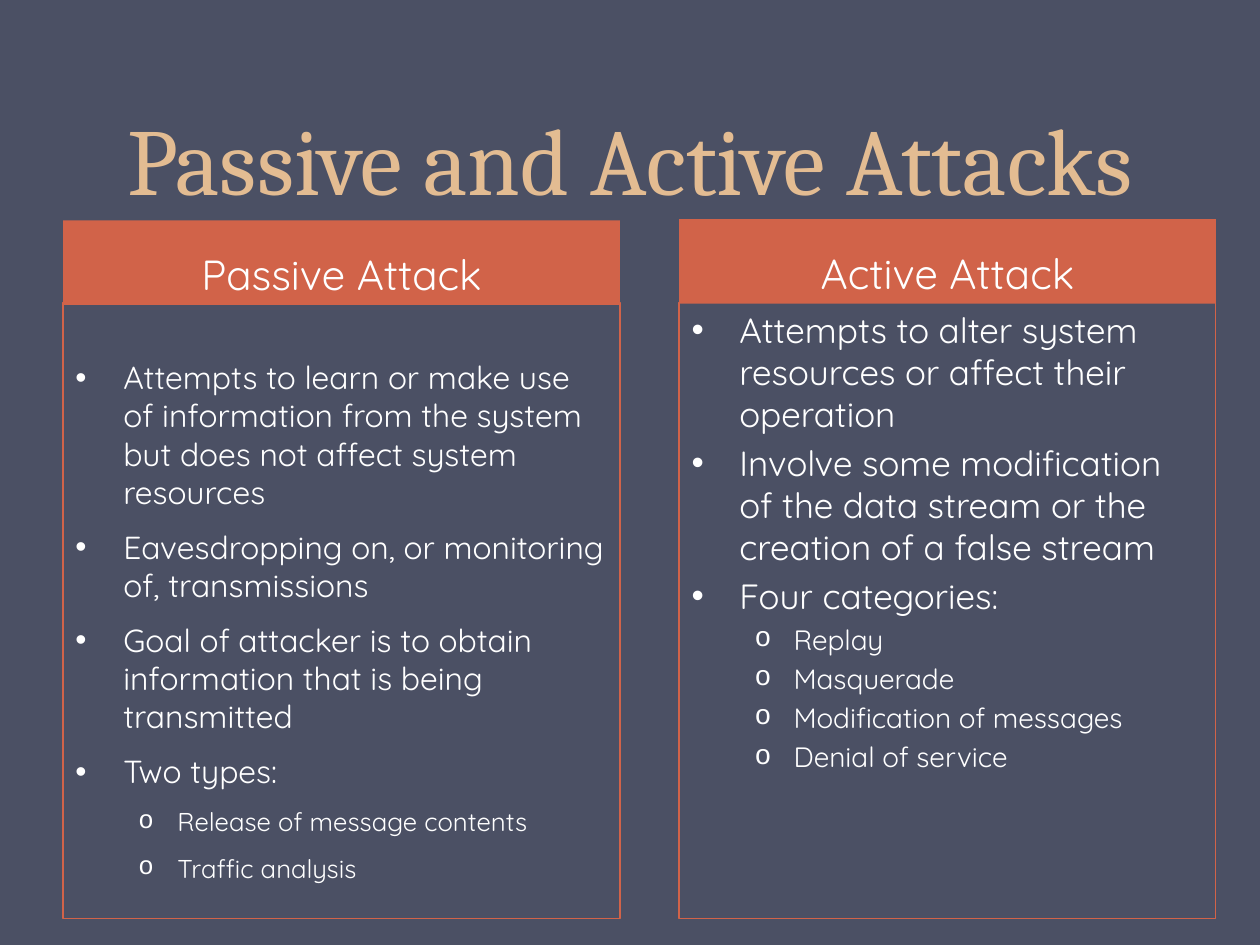
from lxml.etree import SubElement
from pptx import Presentation
from pptx.dml.color import RGBColor
from pptx.enum.shapes import MSO_SHAPE
from pptx.enum.text import MSO_ANCHOR, PP_ALIGN
from pptx.oxml.ns import qn
from pptx.util import Inches, Pt

BACKGROUND, ACCENT, GOLD, WHITE = "4B5064", "D16349", "E3BC92", "FFFFFF"
HEADING_FONT, BODY_FONT = "Cambria", "Quicksand"
# level: (bullet, bullet font, left margin, hanging indent)
BULLETS = {0: ("•", "Arial", 0.38, 0.38), 1: ("o", "Courier New", 0.81, 0.31)}

PASSIVE_POINTS = [
    (0, "Attempts to learn or make use of information from the system "
        "but does not affect system resources"),
    (0, "Eavesdropping on, or monitoring of, transmissions"),
    (0, "Goal of attacker is to obtain information that is being transmitted"),
    (0, "Two types:"),
    (1, "Release of message contents"),
    (1, "Traffic analysis"),
]
ACTIVE_POINTS = [
    (0, "Attempts to alter system resources or affect their operation"),
    (0, "Involve some modification of the data stream or the creation "
        "of a false stream"),
    (0, "Four categories:"),
    (1, "Replay"),
    (1, "Masquerade"),
    (1, "Modification of messages"),
    (1, "Denial of service"),
]


def color(hex_string):
    return RGBColor.from_string(hex_string)


class SlideBuilder:
    def __init__(self, slide):
        self.slide = slide
        slide.background.fill.solid()
        slide.background.fill.fore_color.rgb = color(BACKGROUND)

    def add_run(self, paragraph, text, size, font=BODY_FONT, hex_color=WHITE):
        run = paragraph.add_run()
        run.text = text
        run.font.size = Pt(size)
        run.font.name = font
        run.font.color.rgb = color(hex_color)

    def add_box(self, left, top, width, height):
        shape = self.slide.shapes.add_shape(
            MSO_SHAPE.RECTANGLE, Inches(left), Inches(top),
            Inches(width), Inches(height))
        shape.shadow.inherit = False
        shape.text_frame.word_wrap = True
        return shape

    def add_title(self, text, left, top, width, height):
        shape = self.slide.shapes.add_textbox(
            Inches(left), Inches(top), Inches(width), Inches(height))
        frame = shape.text_frame
        frame.word_wrap = True
        frame.vertical_anchor = MSO_ANCHOR.BOTTOM
        paragraph = frame.paragraphs[0]
        paragraph.alignment = PP_ALIGN.CENTER
        paragraph.line_spacing = Pt(58)
        self.add_run(paragraph, text, 54, HEADING_FONT, GOLD)

    def add_header(self, text, left, top, width, height):
        shape = self.add_box(left, top, width, height)
        shape.fill.solid()
        shape.fill.fore_color.rgb = color(ACCENT)
        shape.line.fill.background()
        shape.text_frame.vertical_anchor = MSO_ANCHOR.BOTTOM
        paragraph = shape.text_frame.paragraphs[0]
        paragraph.alignment = PP_ALIGN.CENTER
        self.add_run(paragraph, text, 24)

    def add_bullet_panel(self, points, left, top, width, height,
                         sizes, space_after=0, top_inset=0.05):
        """Outlined panel; sizes gives the text size of each bullet level."""
        shape = self.add_box(left, top, width, height)
        shape.fill.background()
        shape.line.color.rgb = color(ACCENT)
        shape.line.width = Pt(0.75)
        frame = shape.text_frame
        frame.vertical_anchor = MSO_ANCHOR.TOP
        frame.margin_top = Inches(top_inset)
        for index, (level, text) in enumerate(points):
            paragraph = frame.add_paragraph() if index else frame.paragraphs[0]
            paragraph.alignment = PP_ALIGN.LEFT
            paragraph.level = level
            paragraph.space_before = Pt(round(0.2 * sizes[level], 1) if index else 0)
            paragraph.space_after = Pt(space_after)
            self.set_bullet(paragraph, level)
            self.add_run(paragraph, text, sizes[level])

    def set_bullet(self, paragraph, level):
        character, font, margin, hanging = BULLETS[level]
        properties = paragraph._p.get_or_add_pPr()
        properties.set("marL", str(Inches(margin)))
        properties.set("indent", str(-Inches(hanging)))
        SubElement(properties, qn("a:buFont"), typeface=font)
        SubElement(properties, qn("a:buChar"), char=character)


def main():
    presentation = Presentation()
    presentation.slide_width = Inches(10)
    presentation.slide_height = Inches(7.5)
    builder = SlideBuilder(
        presentation.slides.add_slide(presentation.slide_layouts[6]))

    builder.add_title("Passive and Active Attacks", 0.5, 0, 9, 1.75)
    builder.add_header("Passive Attack", 0.5, 1.75, 4.42, 0.67)
    builder.add_header("Active Attack", 5.39, 1.74, 4.26, 0.67)
    builder.add_bullet_panel(PASSIVE_POINTS, 0.5, 2.4, 4.42, 4.89,
                             sizes=(18.2, 14.7), space_after=6, top_inset=0.44)
    builder.add_bullet_panel(ACTIVE_POINTS, 5.39, 2.4, 4.26, 4.89, sizes=(20, 16))
    presentation.save("out.pptx")


if __name__ == "__main__":
    main()
